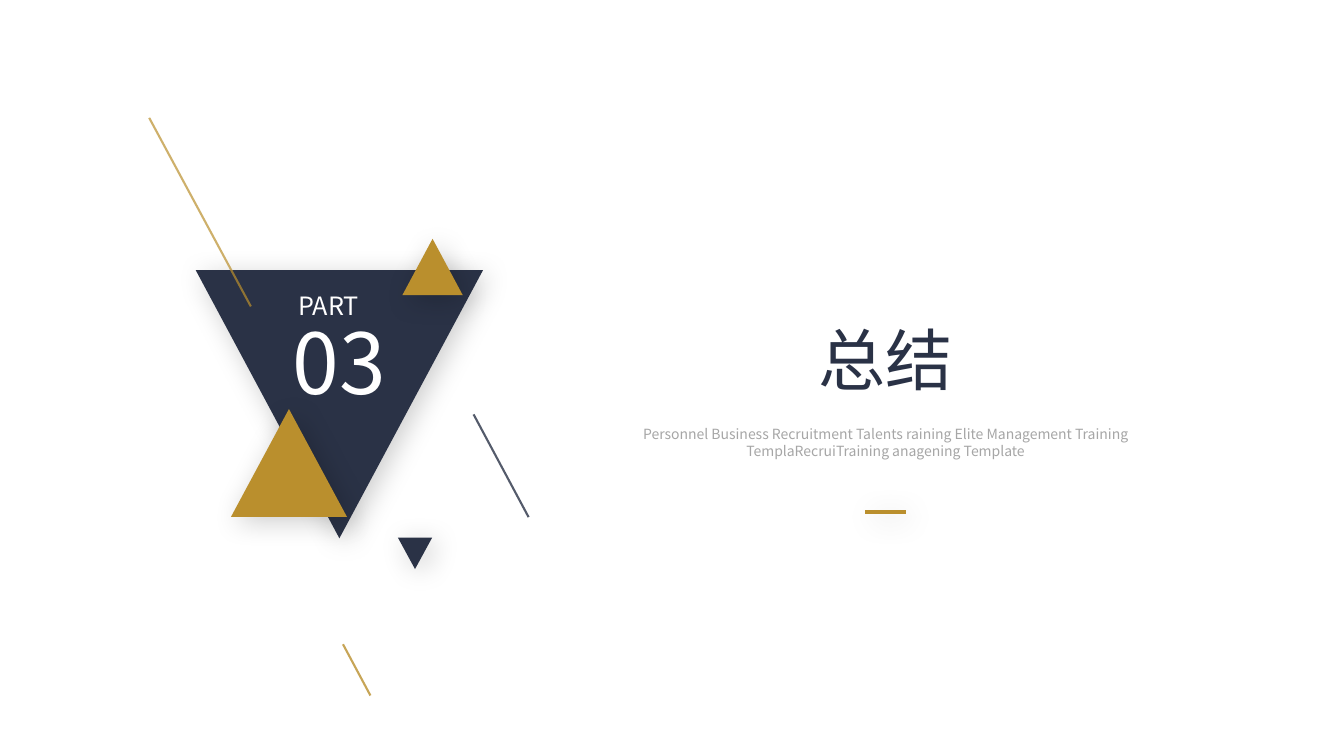
from lxml import etree
from pptx import Presentation
from pptx.dml.color import RGBColor
from pptx.enum.shapes import MSO_CONNECTOR, MSO_SHAPE
from pptx.enum.text import MSO_AUTO_SIZE, PP_ALIGN
from pptx.oxml import parse_xml
from pptx.oxml.ns import nsdecls, qn
from pptx.util import Pt

NAVY, GOLD, GREY, WHITE = "2A3246", "BA8F2D", "A6A6A6", "FFFFFF"
FONT = "Noto Sans CJK SC"
SHADOW = (
    f'<a:effectLst {nsdecls("a")}>'
    '<a:outerShdw blurRad="254000" dist="63500" dir="2700000" algn="tl" rotWithShape="0">'
    '<a:srgbClr val="000000"><a:alpha val="20000"/></a:srgbClr>'
    '</a:outerShdw></a:effectLst>'
)
NO_SHADOW = f'<a:effectLst {nsdecls("a")}/>'

prs = Presentation()
prs.slide_width, prs.slide_height = Pt(960), Pt(540)
s = prs.slides.add_slide(prs.slide_layouts[6])


def rgb(color):
    return RGBColor.from_string(color)


def add_text(text, x, y, w, h, size, color, align=PP_ALIGN.CENTER, wrap=True):
    tf = s.shapes.add_textbox(Pt(x), Pt(y), Pt(w), Pt(h)).text_frame
    tf.word_wrap = wrap
    tf.auto_size = MSO_AUTO_SIZE.SHAPE_TO_FIT_TEXT
    p = tf.paragraphs[0]
    p.alignment = align
    r = p.add_run()
    r.text = text
    r.font.size, r.font.name, r.font.color.rgb = Pt(size), FONT, rgb(color)
    etree.SubElement(r.font._element, qn("a:ea"), typeface=FONT)


# Triangles and slanted lines, back to front; the part label sits among them
decor = [
    ("triangle", NAVY, 139.8, 193, 205.2, 191.5, 180),
    ("triangle", GOLD, 165, 292.2, 82.8, 77, 0),
    ("line", GOLD, 106.6, 84.2, 179.2, 218.9, 70),
    ("line", NAVY, 338.3, 296, 377.6, 369.4, 80),
    ("triangle", GOLD, 287.4, 170.6, 43.2, 40.3, 0),
    ("line", GOLD, 245, 460.2, 264.6, 496.8, 80),
    ("triangle", NAVY, 284.2, 384, 24.5, 22.5, 180),
    ("bar", GOLD, 618, 365.8, 647.3, 365.8, 100),
]
for kind, color, x, y, a, b, turn_or_alpha in decor:
    if kind == "triangle":
        sp = s.shapes.add_shape(MSO_SHAPE.ISOSCELES_TRIANGLE, Pt(x), Pt(y), Pt(a), Pt(b))
        sp.rotation = turn_or_alpha
        sp.fill.solid()
        sp.fill.fore_color.rgb = rgb(color)
        sp.line.fill.background()
    else:
        sp = s.shapes.add_connector(MSO_CONNECTOR.STRAIGHT, Pt(x), Pt(y), Pt(a), Pt(b))
        sp.line.width = Pt(3 if kind == "bar" else 1.5)
        sp.line.color.rgb = rgb(color)
        if turn_or_alpha < 100:
            clr = sp.line._ln.find(".//" + qn("a:srgbClr"))
            etree.SubElement(clr, qn("a:alpha"), val=str(turn_or_alpha * 1000))
    sp._element.spPr.append(parse_xml(NO_SHADOW if kind == "line" else SHADOW))

# Part label
add_text("03", 201.6, 218, 81.4, 80, 60, WHITE, wrap=False)
add_text("PART", 206, 203.5, 72, 29, 18, WHITE, align=PP_ALIGN.JUSTIFY)

# Title and subtitle
add_text("总结", 577.4, 224, 110.2, 65.5, 48, NAVY, wrap=False)
add_text("Personnel Business Recruitment Talents raining Elite Management Training "
         "TemplaRecruiTraining anagening Template", 402.5, 300.5, 460, 51, 10, GREY)

prs.save("out.pptx")
